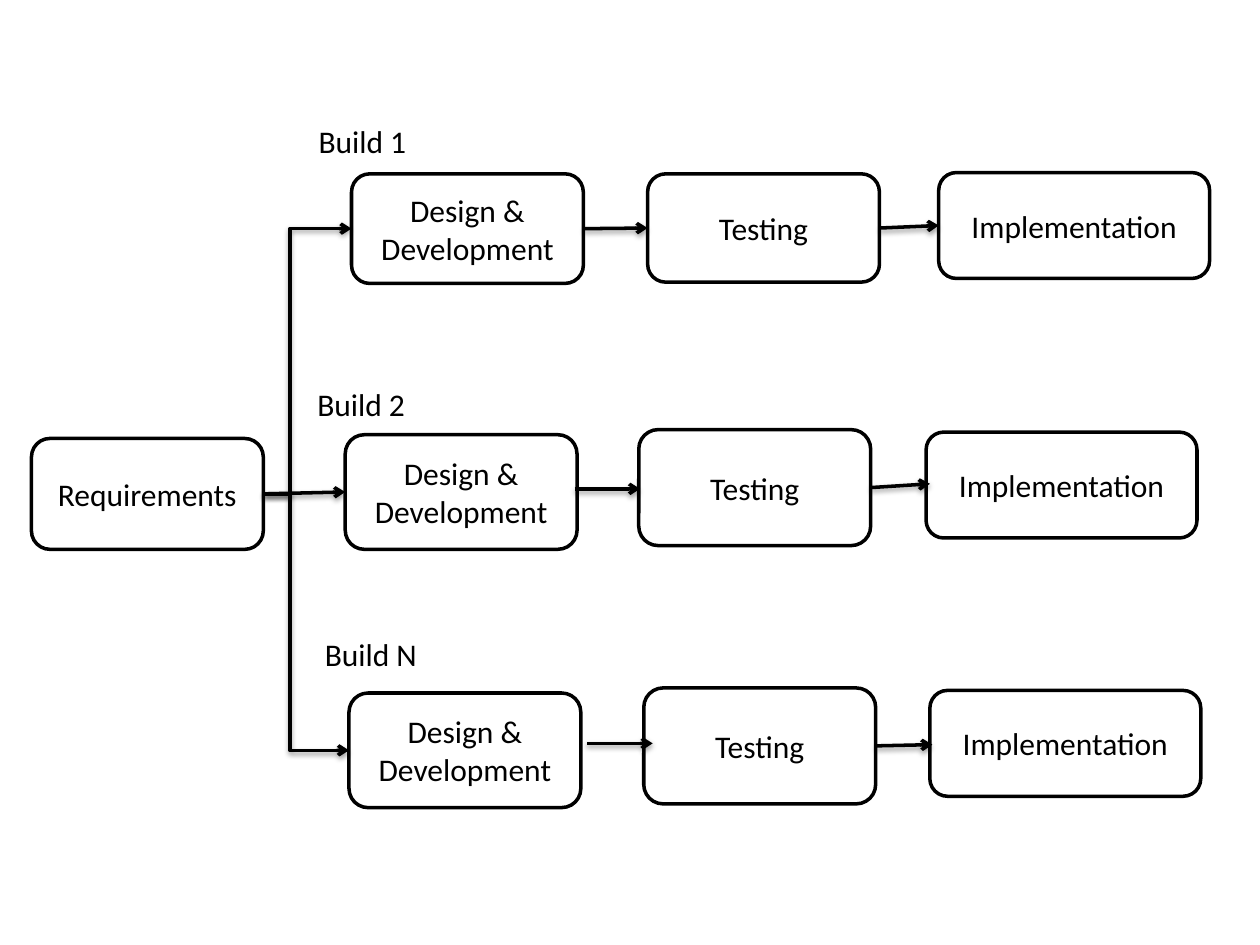
from lxml import etree
from pptx import Presentation
from pptx.dml.color import RGBColor
from pptx.enum.shapes import MSO_CONNECTOR, MSO_SHAPE
from pptx.enum.text import MSO_ANCHOR, PP_ALIGN
from pptx.oxml.ns import qn
from pptx.util import Inches, Pt

ROUNDED = MSO_SHAPE.ROUNDED_RECTANGLE
STRAIGHT, ELBOW = MSO_CONNECTOR.STRAIGHT, MSO_CONNECTOR.ELBOW
LEFT, CENTER = PP_ALIGN.LEFT, PP_ALIGN.CENTER
TOP, MIDDLE = MSO_ANCHOR.TOP, MSO_ANCHOR.MIDDLE
LEFT_SIDE, RIGHT_SIDE = 1, 3

THEME = {
    "font": "Calibri",
    "size": Pt(18),
    "ink": RGBColor(0, 0, 0),
    "paper": RGBColor(255, 255, 255),
    "line": Pt(2),
    "shadow": {"blurRad": Pt(3.1), "dist": Pt(1.6), "dir": 90 * 60000, "rotWithShape": 0},
    "shadow_alpha": 38000,
}

# Boxes are left, top, width, height in inches.
REQUIREMENTS = ("Requirements", (0.25, 3.48, 1.84, 0.88))
STAGES = ["Design & Development", "Testing", "Implementation"]
LABEL_SIZE = (1.33, 0.42)
BRANCH_X = 2.3

# Each arrow is the start and end point between two stages; None means joined to the side.
BUILDS = [
    {
        "label": ("Build 1", (2.43, 0.92)),
        "boxes": [(2.79, 1.38, 1.84, 0.87), (5.14, 1.38, 1.84, 0.86), (7.45, 1.37, 2.15, 0.84)],
        "arrows": [(None, None), (None, None)],
        "route": ELBOW,
    },
    {
        "label": ("Build 2", (2.42, 3.01)),
        "boxes": [(2.74, 3.45, 1.84, 0.91), (5.07, 3.41, 1.84, 0.92), (7.35, 3.43, 2.15, 0.84)],
        "arrows": [((4.56, 3.88), (5.08, 3.88)), (None, (7.38, 3.84))],
        "route": STRAIGHT,
    },
    {
        "label": ("Build N", (2.48, 4.99)),
        "boxes": [(2.77, 5.5, 1.84, 0.91), (5.11, 5.46, 1.84, 0.92), (7.38, 5.48, 2.15, 0.84)],
        "arrows": [((4.66, 5.9), (5.18, 5.9)), (None, (7.4, 5.91))],
        "route": ELBOW,
    },
]


def write_text(shape, text, align=LEFT, anchor=TOP):
    frame = shape.text_frame
    frame.word_wrap = True
    frame.vertical_anchor = anchor
    para = frame.paragraphs[0]
    para.alignment = align
    span = para.add_run()
    span.text = text
    span.font.name = THEME["font"]
    span.font.size = THEME["size"]
    span.font.color.rgb = THEME["ink"]


def add_box(page, text, bounds):
    box = page.shapes.add_shape(ROUNDED, *map(Inches, bounds))
    box.shadow.inherit = False
    box.fill.solid()
    box.fill.fore_color.rgb = THEME["paper"]
    box.line.color.rgb = THEME["ink"]
    box.line.width = THEME["line"]
    write_text(box, text, align=CENTER, anchor=MIDDLE)
    return box


def add_label(page, text, position):
    label = page.shapes.add_textbox(*map(Inches, position + LABEL_SIZE))
    write_text(label, text)


def add_child(parent, tag, **attributes):
    values = {name: str(value) for name, value in attributes.items()}
    return etree.SubElement(parent, qn(tag), values)


def add_arrow(page, source, target, start=None, end=None, route=STRAIGHT):
    """Draw from the right of source to the left of target, unless points are given."""
    begin = tuple(map(Inches, start)) if start else (
        source.left + source.width, source.top + source.height // 2)
    finish = tuple(map(Inches, end)) if end else (
        target.left, target.top + target.height // 2)
    arrow = page.shapes.add_connector(route, *begin, *finish)
    if start is None:
        arrow.begin_connect(source, RIGHT_SIDE)
    if end is None:
        arrow.end_connect(target, LEFT_SIDE)
    arrow.line.color.rgb = THEME["ink"]
    arrow.line.width = THEME["line"]

    properties = arrow.element.spPr
    add_child(properties.find(qn("a:ln")), "a:tailEnd", type="arrow")
    effects = add_child(properties, "a:effectLst")
    shadow = add_child(effects, "a:outerShdw", **THEME["shadow"])
    color = add_child(shadow, "a:srgbClr", val=THEME["ink"])
    add_child(color, "a:alpha", val=THEME["shadow_alpha"])
    if route == ELBOW:
        share = (Inches(BRANCH_X) - begin[0]) / (finish[0] - begin[0])
        guides = properties.find(qn("a:prstGeom")).find(qn("a:avLst"))
        add_child(guides, "a:gd", name="adj1", fmla=f"val {round(share * 100000)}")


def main():
    deck = Presentation()
    deck.slide_width, deck.slide_height = Inches(10), Inches(7.5)
    page = deck.slides.add_slide(deck.slide_layouts[6])

    requirements = add_box(page, *REQUIREMENTS)
    for build in BUILDS:
        add_label(page, *build["label"])
        boxes = [add_box(page, *item) for item in zip(STAGES, build["boxes"])]
        add_arrow(page, requirements, boxes[0], route=build["route"])
        for source, target, (start, end) in zip(boxes, boxes[1:], build["arrows"]):
            add_arrow(page, source, target, start=start, end=end)

    deck.save("out.pptx")


if __name__ == "__main__":
    main()
